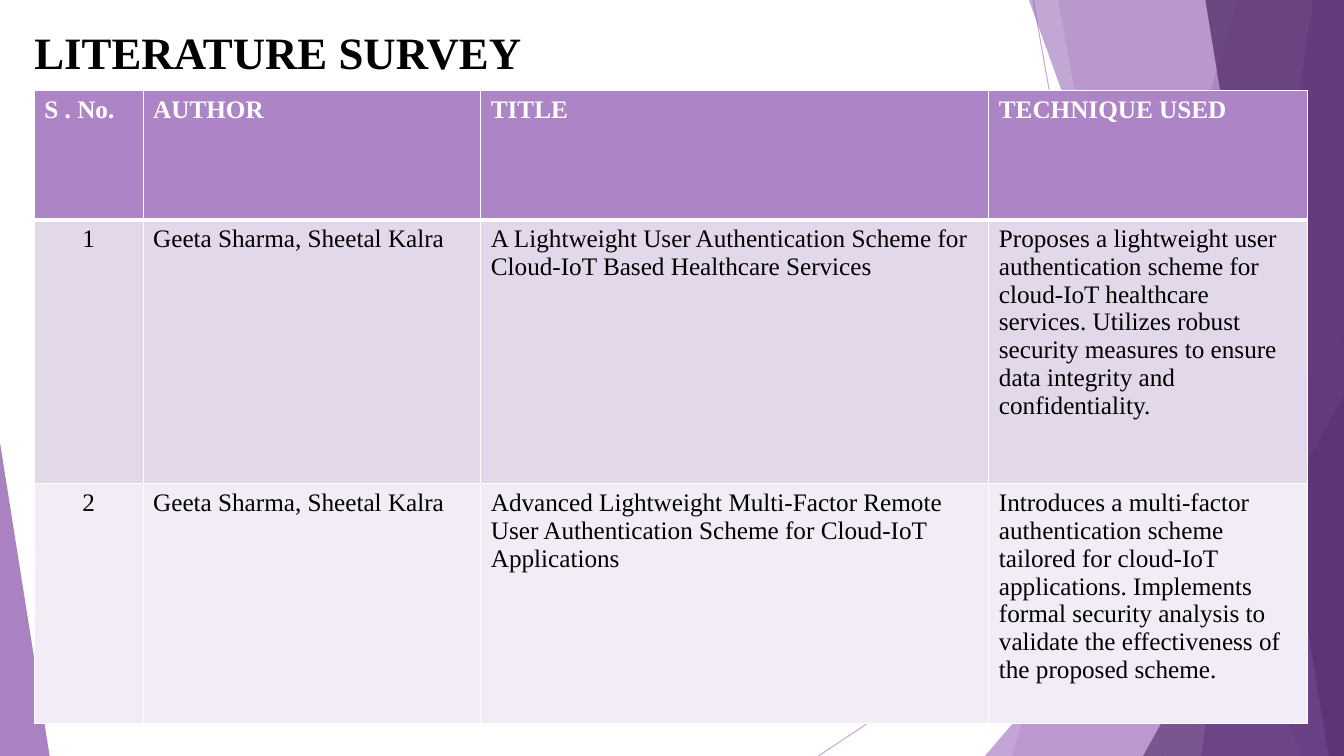
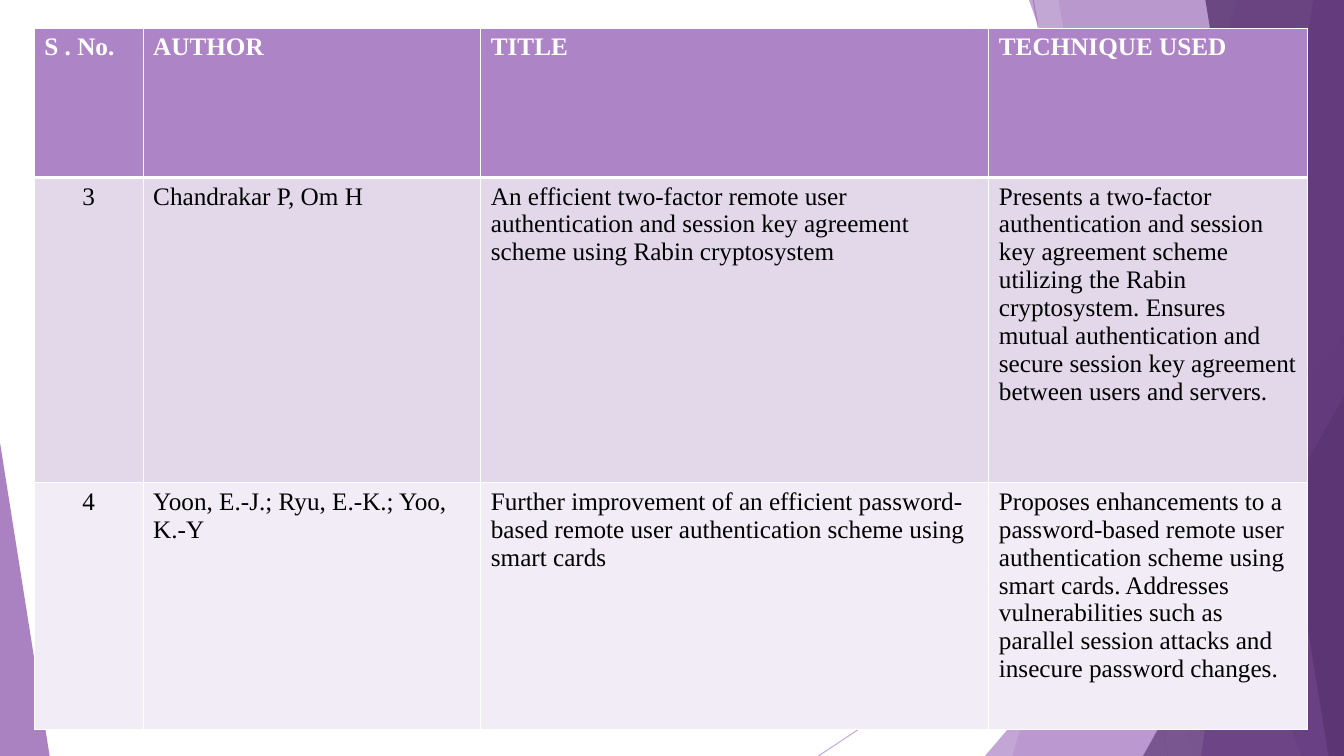
from lxml import etree
from pptx import Presentation
from pptx.dml.color import RGBColor
from pptx.enum import shapes, text
from pptx.oxml import ns
from pptx.util import Pt

WHITE = RGBColor(0xFF, 0xFF, 0xFF)
BLACK = RGBColor(0, 0, 0)
LILAC = RGBColor(0xAD, 0x84, 0xC6)
PURPLE = RGBColor(0x86, 0x4E, 0xA9)
PLUM = RGBColor(0x59, 0x34, 0x70)
ODD_ROW = RGBColor(0xE2, 0xD8, 0xEA)
EVEN_ROW = RGBColor(0xF1, 0xEC, 0xF5)

FONT = "Times New Roman"
WIDTH, HEIGHT = 960, 540
SLIDE_BOX = (0, 0, WIDTH, HEIGHT)
COLUMN_SHARES = (1.08, 3.35, 5.04, 3.16)
HEADINGS = ("S . No.", "AUTHOR", "TITLE", "TECHNIQUE USED")

RAYS = [((738, 0), (834, 540)), ((960, 290), (584.6, 540))]
FACETS = [
    ("band", 884, 723, LILAC, 36),
    ("band", 756, 852, LILAC, 20),
    ("corner", 703.5, 240, LILAC, 72),
    ("band", 735, 929.5, PURPLE, 50),
    ("band", 938, 858, PURPLE, 70),
    ("band", 861, 949, PLUM, 80),
    ("corner", 816.5, 283, PLUM, 66),
]

SURVEY = [
    {
        "title": "LITERATURE SURVEY",
        "box": (24.5, 64.8, 909.4, 452.2),
        "row_shares": (1.28, 2.62, 2.38),
        "papers": [
            ("1", "Geeta Sharma, Sheetal Kalra",
             "A Lightweight User Authentication Scheme for Cloud-IoT Based Healthcare Services",
             "Proposes a lightweight user authentication scheme for cloud-IoT healthcare services. "
             "Utilizes robust security measures to ensure data integrity and confidentiality."),
            ("2", "Geeta Sharma, Sheetal Kalra",
             "Advanced Lightweight Multi-Factor Remote User Authentication Scheme for "
             "Cloud-IoT Applications",
             "Introduces a multi-factor authentication scheme tailored for cloud-IoT applications. "
             "Implements formal security analysis to validate the effectiveness of the proposed scheme."),
        ],
    },
    {
        "title": None,
        "box": (24.5, 20.2, 909.4, 501.1),
        "row_shares": (1.48, 3.03, 2.45),
        "papers": [
            ("3", "Chandrakar P, Om H",
             "An efficient two-factor remote user authentication and session key agreement "
             "scheme using Rabin cryptosystem",
             "Presents a two-factor authentication and session key agreement scheme utilizing "
             "the Rabin cryptosystem. Ensures mutual authentication and secure session key "
             "agreement between users and servers."),
            ("4", "Yoon, E.-J.; Ryu, E.-K.; Yoo, K.-Y",
             "Further improvement of an efficient password-based remote user authentication "
             "scheme using smart cards",
             "Proposes enhancements to a password-based remote user authentication scheme using "
             "smart cards. Addresses vulnerabilities such as parallel session attacks and "
             "insecure password changes."),
        ],
    },
]


def set_alpha(element, percent):
    for color in element.iter(ns.qn("a:srgbClr")):
        etree.SubElement(color, ns.qn("a:alpha"), val=str(percent * 1000))


def paint(facet, color, opacity):
    facet.shadow.inherit = False
    facet.fill.solid()
    facet.fill.fore_color.rgb = color
    set_alpha(facet.fill._xPr, opacity)
    facet.line.fill.background()


def add_ray(slide, start, end, left, top):
    ray = slide.shapes.add_connector(
        shapes.MSO_CONNECTOR.STRAIGHT,
        Pt(left + start[0]), Pt(top + start[1]), Pt(left + end[0]), Pt(top + end[1]))
    ray.line.width = Pt(0.75)
    ray.line.color.rgb = LILAC
    properties = ray._element.spPr
    set_alpha(properties, 70)
    etree.SubElement(properties, ns.qn("a:effectLst"))


def add_band(slide, top_x, bottom_x, box):
    left, top, width, height = box
    right, bottom = left + width, top + height
    outline = slide.shapes.build_freeform(Pt(left + top_x), Pt(top), scale=1.0)
    corners = [(right, top), (right, bottom), (left + bottom_x, bottom)]
    outline.add_line_segments([(Pt(x), Pt(y)) for x, y in corners], close=True)
    return outline.convert_to_shape()


def add_corner(slide, box, apex):
    corner = slide.shapes.add_shape(
        shapes.MSO_SHAPE.ISOSCELES_TRIANGLE, *(Pt(length) for length in box))
    corner.adjustments[0] = apex
    return corner


def add_backdrop(slide, box):
    left, top, width, height = box
    for start, end in RAYS:
        add_ray(slide, start, end, left, top)
    for kind, first, second, color, opacity in FACETS:
        if kind == "band":
            facet = add_band(slide, first, second, box)
        else:
            facet = add_corner(
                slide, (left + first, top + second, width - first, height - second), 1)
        paint(facet, color, opacity)
    paint(add_corner(slide, (left, top + 316, 35.5, height - 316), 0), PURPLE, 70)


def write(frame, words, size, color, bold, align=text.PP_ALIGN.LEFT):
    paragraph = frame.paragraphs[0]
    paragraph.alignment = align
    run = paragraph.add_run()
    run.text = words
    run.font.name = FONT
    run.font.size = Pt(size)
    run.font.bold = bold
    run.font.color.rgb = color


def add_title(slide, words, box):
    title = slide.shapes.add_textbox(*(Pt(length) for length in box))
    title.text_frame.word_wrap = True
    write(title.text_frame, words, 32, BLACK, True)


def set_borders(cell, top, bottom):
    properties = cell._tc.get_or_add_tcPr()
    for side, width in (("L", 1), ("R", 1), ("T", top), ("B", bottom)):
        border = etree.SubElement(properties, ns.qn("a:ln" + side), w=str(Pt(width)))
        fill = etree.SubElement(border, ns.qn("a:solidFill"))
        etree.SubElement(fill, ns.qn("a:srgbClr"), val=str(WHITE))


def add_survey_table(slide, papers, row_shares, box):
    left, top, width, height = box
    rows = [HEADINGS, *papers]
    table = slide.shapes.add_table(
        len(rows), len(HEADINGS), Pt(left), Pt(top), Pt(width), Pt(height)).table
    table.first_row = table.horz_banding = False
    for column, share in zip(table.columns, COLUMN_SHARES):
        column.width = Pt(width * share / sum(COLUMN_SHARES))
    for row, share in zip(table.rows, row_shares):
        row.height = Pt(height * share / sum(row_shares))
    fills = (LILAC, ODD_ROW, EVEN_ROW)
    for row_index, entries in enumerate(rows):
        header = row_index == 0
        for column_index, words in enumerate(entries):
            cell = table.cell(row_index, column_index)
            set_borders(cell, 3 if row_index == 1 else 1, 3 if header else 1)
            cell.fill.solid()
            cell.fill.fore_color.rgb = fills[row_index]
            numbered = column_index == 0 and not header
            write(cell.text_frame, words, 18, WHITE if header else BLACK, header,
                  text.PP_ALIGN.CENTER if numbered else text.PP_ALIGN.LEFT)


def add_survey_slide(deck, page):
    slide = deck.slides.add_slide(deck.slide_layouts[6])
    add_backdrop(slide, SLIDE_BOX)
    add_survey_table(slide, page["papers"], page["row_shares"], page["box"])
    if page["title"]:
        add_title(slide, page["title"], (17.5, 14.4, 500, 46))


def main():
    deck = Presentation()
    deck.slide_width, deck.slide_height = Pt(WIDTH), Pt(HEIGHT)
    for page in SURVEY:
        add_survey_slide(deck, page)
    deck.save("out.pptx")


if __name__ == "__main__":
    main()
